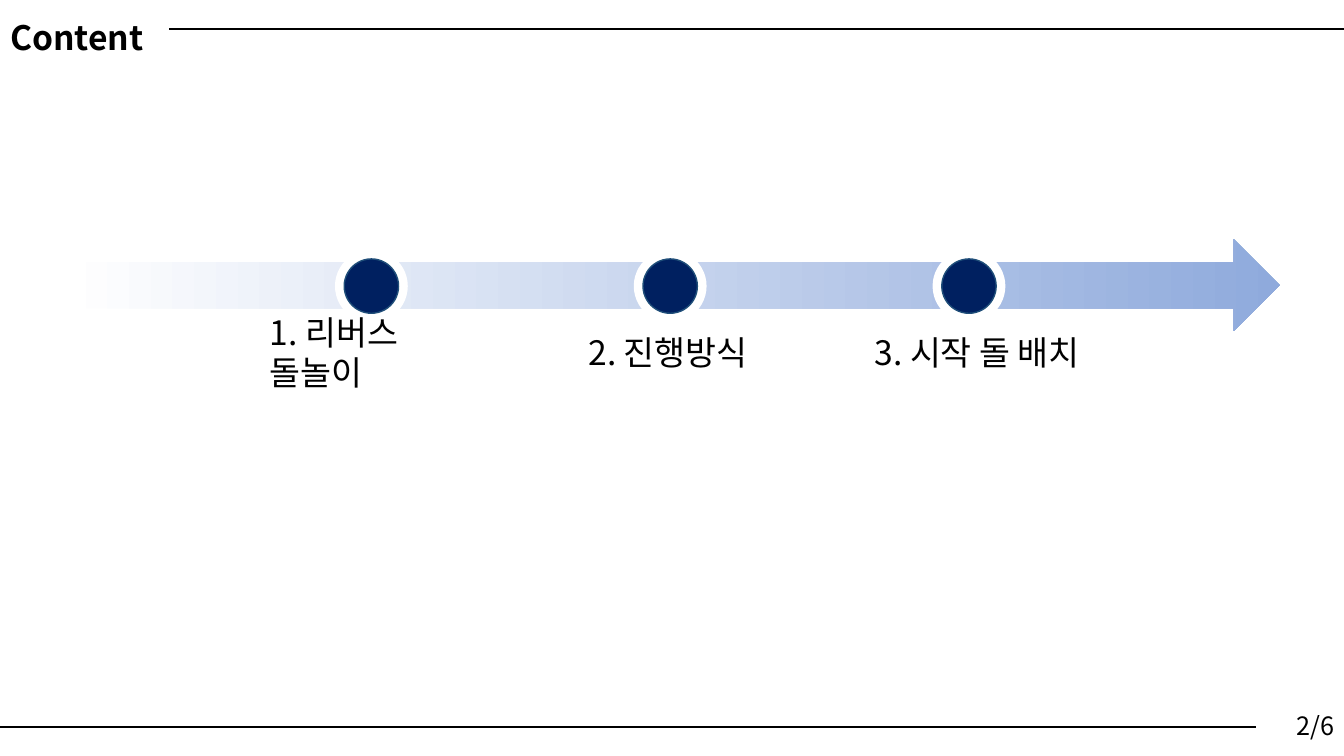
from lxml import etree
from pptx import Presentation
from pptx.dml.color import RGBColor
from pptx.enum.shapes import MSO_CONNECTOR, MSO_SHAPE
from pptx.enum.text import MSO_ANCHOR, PP_ALIGN
from pptx.oxml.ns import qn
from pptx.util import Cm, Pt

STRAIGHT = MSO_CONNECTOR.STRAIGHT
RECTANGLE, OVAL, RIGHT_ARROW = MSO_SHAPE.RECTANGLE, MSO_SHAPE.OVAL, MSO_SHAPE.RIGHT_ARROW
MIDDLE = MSO_ANCHOR.MIDDLE
LEFT, RIGHT = PP_ALIGN.LEFT, PP_ALIGN.RIGHT
FONT = "Noto Sans CJK KR"
WIDTH, HEIGHT = 33.87, 19.05


def paint(shape, fill, line):
    shape.shadow.inherit = False
    shape.fill.solid()
    shape.fill.fore_color.rgb = RGBColor.from_string(fill)
    shape.line.color.rgb = RGBColor.from_string(line)
    shape.line.width = Pt(1)


def write(shape, text, size, align=LEFT, bold=False):
    """Fill a shape with one paragraph, in the same font for Latin and Hangul."""
    frame = shape.text_frame
    frame.word_wrap = True
    frame.vertical_anchor = MIDDLE
    frame.text = text
    paragraph = frame.paragraphs[0]
    paragraph.alignment = align
    font = paragraph.font
    font.name, font.size, font.bold = FONT, Pt(size), bold
    font.color.rgb = RGBColor.from_string("000000")
    for properties in shape.element.iter(qn("a:defRPr")):
        etree.SubElement(properties, qn("a:ea"), typeface=FONT)


prs = Presentation()
prs.slide_width, prs.slide_height = Cm(WIDTH), Cm(HEIGHT)
slide = prs.slides.add_slide(prs.slide_layouts[5])
shapes = slide.shapes

# Header and footer rules
for y in (0.73, 18.32):
    rule = shapes.add_connector(STRAIGHT, Cm(0), Cm(y), Cm(WIDTH), Cm(y))
    rule.line.color.rgb = RGBColor.from_string("000000")
    rule.line.width = Pt(2)
    etree.SubElement(rule.element.spPr, qn("a:effectLst"))

page_number = shapes.add_shape(RECTANGLE, Cm(31.67), Cm(17.5), Cm(2.2), Cm(1.55))
paint(page_number, "FFFFFF", "FFFFFF")
write(page_number, "2/6", 18, RIGHT)

# Timeline
timeline = shapes.add_shape(RIGHT_ARROW, Cm(1.61), Cm(6.03), Cm(30.64), Cm(2.32))
timeline.shadow.inherit = False
timeline.line.fill.background()
timeline.fill.gradient()
timeline.fill.gradient_angle = 0
for stop, color in zip(timeline.fill.gradient_stops, ("FFFFFF", "8FAADC")):
    stop.color.rgb = RGBColor.from_string(color)

# Milestones: label, label left, label width
milestones = [
    ("1. 리버스 돌놀이", 6.55, 5.74),
    ("2. 진행방식", 14.58, 5.74),
    ("3. 시작 돌 배치", 21.79, 8.46),
]
first_x, step, center_y = 9.36, 7.53, 7.21
for i, (text, label_left, label_width) in enumerate(milestones):
    center_x = first_x + i * step
    for diameter, fill, line in ((1.8, "FFFFFF", "FFFFFF"), (1.37, "002060", "1F4E79")):
        circle = shapes.add_shape(OVAL, Cm(center_x - diameter / 2), Cm(center_y - diameter / 2),
                                  Cm(diameter), Cm(diameter))
        paint(circle, fill, line)
    label = shapes.add_textbox(Cm(label_left), Cm(8.48), Cm(label_width), Cm(0.79))
    write(label, text, 24)

# The title covers the start of the header rule, so it goes to the front
title = shapes.title
title.left, title.top, title.width, title.height = Cm(0), Cm(0), Cm(4.24), Cm(1.88)
paint(title, "FFFFFF", "FFFFFF")
write(title, "Content", 24, bold=True)
title.element.getparent().append(title.element)

prs.save("out.pptx")
